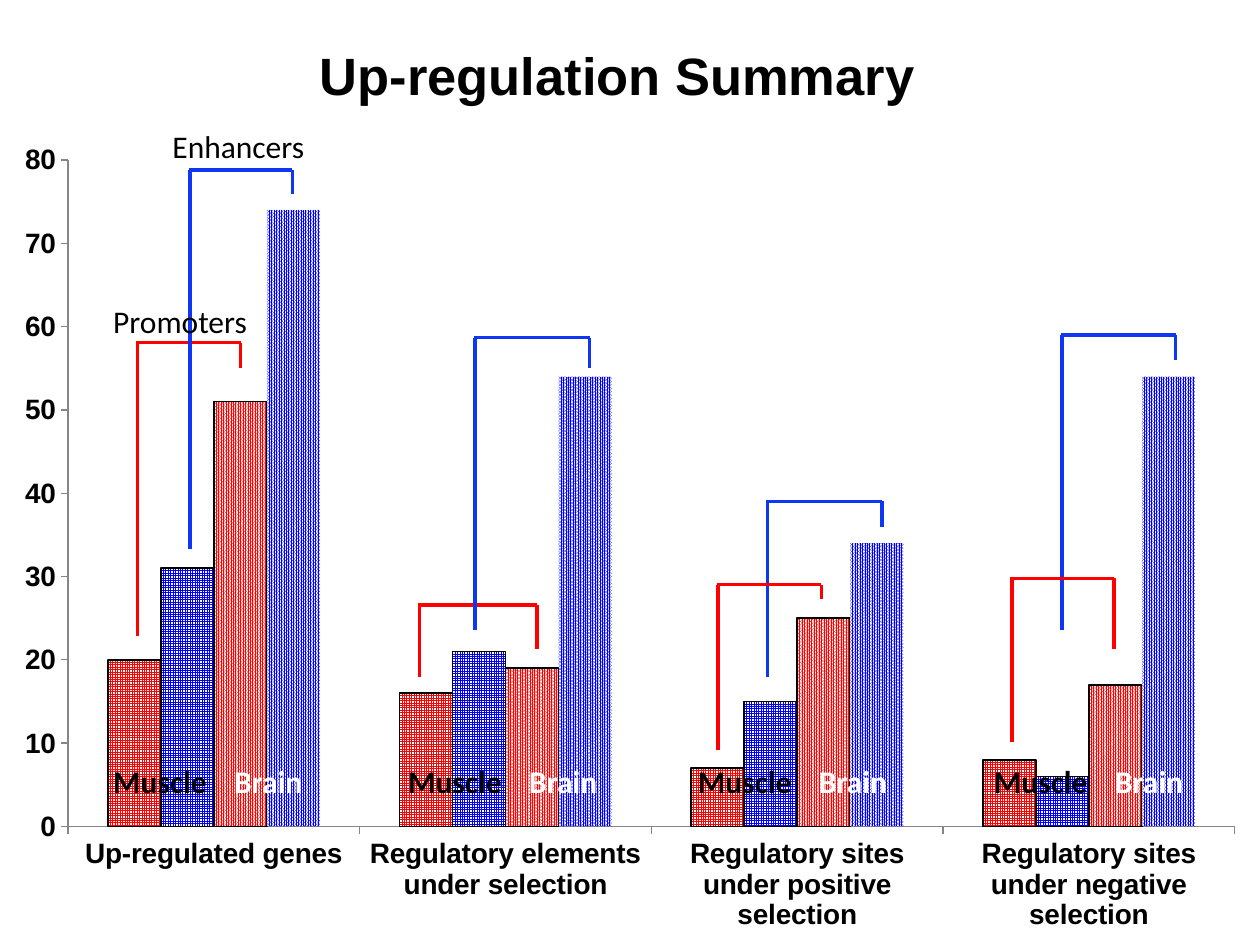
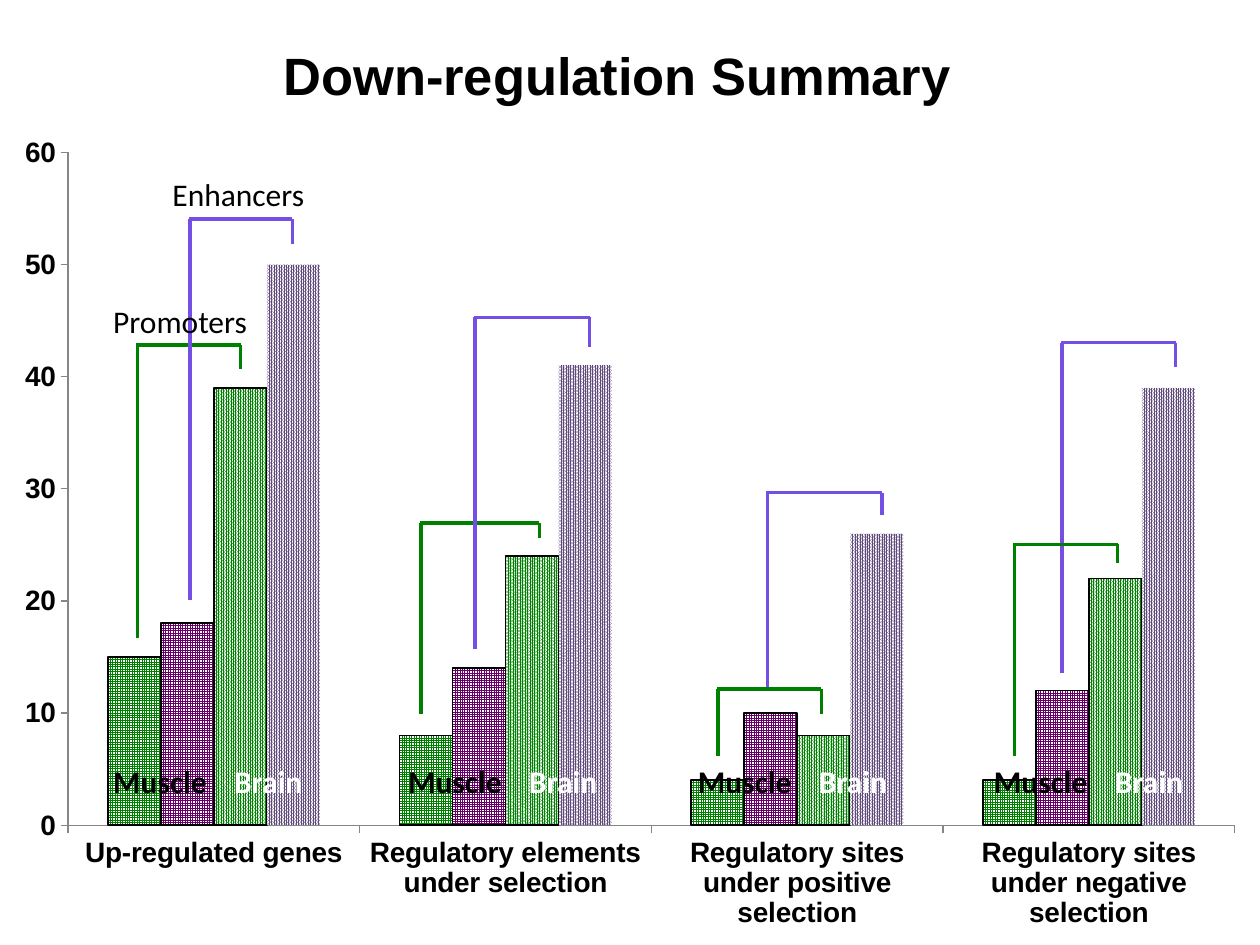
from lxml.etree import SubElement
from pptx import Presentation
from pptx.chart.data import CategoryChartData
from pptx.dml.color import RGBColor
from pptx.enum.chart import XL_CHART_TYPE, XL_TICK_MARK
from pptx.enum.dml import MSO_PATTERN
from pptx.enum.shapes import MSO_CONNECTOR
from pptx.enum.text import MSO_ANCHOR, MSO_AUTO_SIZE, PP_ALIGN
from pptx.oxml.ns import qn
from pptx.util import Inches, Pt

BLACK = RGBColor(0x00, 0x00, 0x00)
WHITE = RGBColor(0xFF, 0xFF, 0xFF)
GRAY = RGBColor(0x86, 0x86, 0x86)
RED = RGBColor(0xFF, 0x00, 0x00)
BLUE = RGBColor(0x00, 0x00, 0xFF)
BRIGHT_BLUE = RGBColor(0x0F, 0x36, 0xF2)
GREEN = RGBColor(0x00, 0x80, 0x00)
PLUM = RGBColor(0x66, 0x00, 0x66)
DUSK = RGBColor(0x60, 0x4A, 0x7B)
VIOLET = RGBColor(0x73, 0x50, 0xE3)

# Content
CATEGORIES = [
    "Up-regulated genes",
    "Regulatory elements under selection",
    "Regulatory sites under positive selection",
    "Regulatory sites under negative selection",
]
PATTERNS = [MSO_PATTERN.SMALL_GRID] * 2 + [MSO_PATTERN.PERCENT_90] * 2

# Each bracket: kind, left x, right x, top, end of left leg, end of right leg
SUMMARIES = [
    {
        "title": "Up-regulation Summary",
        "series": [[20, 16, 7, 8], [31, 21, 15, 6], [51, 19, 25, 17], [74, 54, 34, 54]],
        "bar_colors": [RED, BLUE, RED, BLUE],
        "bracket_colors": {"Promoters": RED, "Enhancers": BRIGHT_BLUE},
        "axis_maximum": 80,
        "chart_top": 1.02,
        "plot": (1.27, 6.56),
        "enhancer_label_top": 0.96,
        "brackets": [
            ("Promoters", 1.09, 1.91, 2.72, 5.05, 2.92),
            ("Enhancers", 1.51, 2.32, 1.35, 4.36, 1.54),
            ("Promoters", 3.33, 4.26, 4.80, 5.37, 5.15),
            ("Enhancers", 6.09, 7.00, 3.98, 5.37, 4.18),
            ("Promoters", 5.70, 6.52, 4.64, 5.95, 4.75),
            ("Enhancers", 3.77, 4.68, 2.68, 5.00, 2.92),
            ("Enhancers", 8.43, 9.33, 2.66, 5.00, 2.86),
            ("Promoters", 8.03, 8.84, 4.59, 5.89, 5.15),
        ],
    },
    {
        "title": "Down-regulation Summary",
        "series": [[15, 8, 4, 4], [18, 14, 10, 12], [39, 24, 8, 22], [50, 41, 26, 39]],
        "bar_colors": [GREEN, PLUM, GREEN, DUSK],
        "bracket_colors": {"Promoters": GREEN, "Enhancers": VIOLET},
        "axis_maximum": 60,
        "chart_top": 0.96,
        "plot": (1.21, 6.55),
        "enhancer_label_top": 1.34,
        "brackets": [
            ("Promoters", 1.09, 1.91, 2.74, 5.06, 2.93),
            ("Enhancers", 1.51, 2.32, 1.74, 4.76, 1.94),
            ("Promoters", 3.34, 4.28, 4.15, 5.67, 4.27),
            ("Enhancers", 6.09, 7.00, 3.91, 5.47, 4.09),
            ("Promoters", 5.70, 6.52, 5.47, 6.00, 5.67),
            ("Enhancers", 3.77, 4.68, 2.52, 5.15, 2.75),
            ("Enhancers", 8.43, 9.33, 2.72, 5.34, 2.91),
            ("Promoters", 8.05, 8.87, 4.32, 6.00, 4.47),
        ],
    },
]

# Shared geometry, in inches
SLIDE_WIDTH, SLIDE_HEIGHT = 10, 7.5
PLOT_LEFT, PLOT_RIGHT = 0.54, 9.8
TISSUE_LEFTS = [0.8, 3.14, 5.44, 7.79]
TISSUE_TOP = 6
MUSCLE_WIDTH, BRAIN_WIDTH = 0.96, 0.76
LABEL_HEIGHT = 0.4
CORNER = 0.01


def add_text(slide, text, box, size=18, font="Calibri", color=BLACK, bold=False):
    shape = slide.shapes.add_textbox(*(Inches(length) for length in box))
    frame = shape.text_frame
    frame.word_wrap = False
    frame.auto_size = MSO_AUTO_SIZE.SHAPE_TO_FIT_TEXT
    run = frame.paragraphs[0].add_run()
    run.text = text
    run.font.name = font
    run.font.size = Pt(size)
    run.font.bold = bold
    run.font.color.rgb = color
    return frame


def add_title(slide, text):
    frame = add_text(slide, text, (0.4, -0.03, 9, 1.25), 30, "Arial", bold=True)
    frame.word_wrap = True
    frame.auto_size = MSO_AUTO_SIZE.NONE
    frame.vertical_anchor = MSO_ANCHOR.MIDDLE
    frame.paragraphs[0].alignment = PP_ALIGN.CENTER


def place_plot(chart, x, y, width, height):
    """Fix the inner plot area, given as shares of the chart's size."""
    plot_area = chart._chartSpace.chart.plotArea
    layout = plot_area.find(qn("c:layout"))
    if layout is None:
        layout = SubElement(plot_area, qn("c:layout"))
        plot_area.insert(0, layout)
    manual = SubElement(layout, qn("c:manualLayout"))
    settings = {"layoutTarget": "inner", "xMode": "edge", "yMode": "edge",
                "x": x, "y": y, "w": width, "h": height}
    for tag, value in settings.items():
        SubElement(manual, qn(f"c:{tag}")).set("val", str(value))


def style_axis(axis):
    axis.has_major_gridlines = False
    axis.major_tick_mark = XL_TICK_MARK.OUTSIDE
    axis.minor_tick_mark = XL_TICK_MARK.NONE
    axis.format.line.color.rgb = GRAY
    font = axis.tick_labels.font
    font.name = "Arial"
    font.size = Pt(16)
    font.bold = True
    font.color.rgb = BLACK


def add_summary_chart(slide, summary):
    data = CategoryChartData()
    data.categories = CATEGORIES
    for number, values in enumerate(summary["series"], 1):
        data.add_series(f"Series {number}", values)
    top = summary["chart_top"]
    height = SLIDE_HEIGHT - top
    chart = slide.shapes.add_chart(
        XL_CHART_TYPE.COLUMN_CLUSTERED, 0, Inches(top),
        Inches(SLIDE_WIDTH), Inches(height), data).chart
    chart.has_legend = False
    chart.has_title = False
    chart.font.name = "Calibri"
    chart.font.size = Pt(10)
    chart.font.color.rgb = BLACK

    style_axis(chart.category_axis)
    style_axis(chart.value_axis)
    chart.value_axis.minimum_scale = 0
    chart.value_axis.maximum_scale = summary["axis_maximum"]
    chart.value_axis.major_unit = 10

    plot = chart.plots[0]
    plot.gap_width = 150
    plot.overlap = 0
    plot.vary_by_categories = False
    for index, series in enumerate(plot.series):
        fill = series.format.fill
        fill.patterned()
        fill.pattern = PATTERNS[index]
        fill.fore_color.rgb = summary["bar_colors"][index]
        fill.back_color.rgb = WHITE
        line = series.format.line
        if index < len(PATTERNS) - 1:
            line.color.rgb = BLACK
            line.width = Pt(1)
        else:
            line.fill.background()

    plot_top, plot_bottom = summary["plot"]
    place_plot(chart, PLOT_LEFT / SLIDE_WIDTH, (plot_top - top) / height,
               (PLOT_RIGHT - PLOT_LEFT) / SLIDE_WIDTH, (plot_bottom - plot_top) / height)


def add_bracket(slide, color, left, right, top, left_end, right_end):
    group = slide.shapes.add_group_shape()
    strokes = [
        (right, top, left - CORNER, top),
        (right, top, right, right_end),
        (left, top, left, left_end),
    ]
    for stroke in strokes:
        connector = group.shapes.add_connector(
            MSO_CONNECTOR.STRAIGHT, *(Inches(length) for length in stroke))
        connector.line.color.rgb = color
        connector.line.width = Pt(2)
        SubElement(connector._element.spPr, qn("a:effectLst"))


def add_summary_slide(presentation, summary):
    slide = presentation.slides.add_slide(presentation.slide_layouts[6])
    add_summary_chart(slide, summary)
    add_title(slide, summary["title"])

    # Brackets pairing muscle and brain bars
    for kind, *lengths in summary["brackets"]:
        add_bracket(slide, summary["bracket_colors"][kind], *lengths)

    # Bracket and tissue labels
    add_text(slide, "Enhancers", (1.27, summary["enhancer_label_top"], 1.27, LABEL_HEIGHT))
    add_text(slide, "Promoters", (0.8, 2.35, 1.29, LABEL_HEIGHT))
    for left in TISSUE_LEFTS:
        add_text(slide, "Brain", (left + MUSCLE_WIDTH, TISSUE_TOP, BRAIN_WIDTH, LABEL_HEIGHT),
                 color=WHITE, bold=True)
        add_text(slide, "Muscle", (left, TISSUE_TOP, MUSCLE_WIDTH, LABEL_HEIGHT), bold=True)


def main():
    presentation = Presentation()
    presentation.slide_width = Inches(SLIDE_WIDTH)
    presentation.slide_height = Inches(SLIDE_HEIGHT)
    for summary in SUMMARIES:
        add_summary_slide(presentation, summary)
    presentation.save("out.pptx")


if __name__ == "__main__":
    main()
